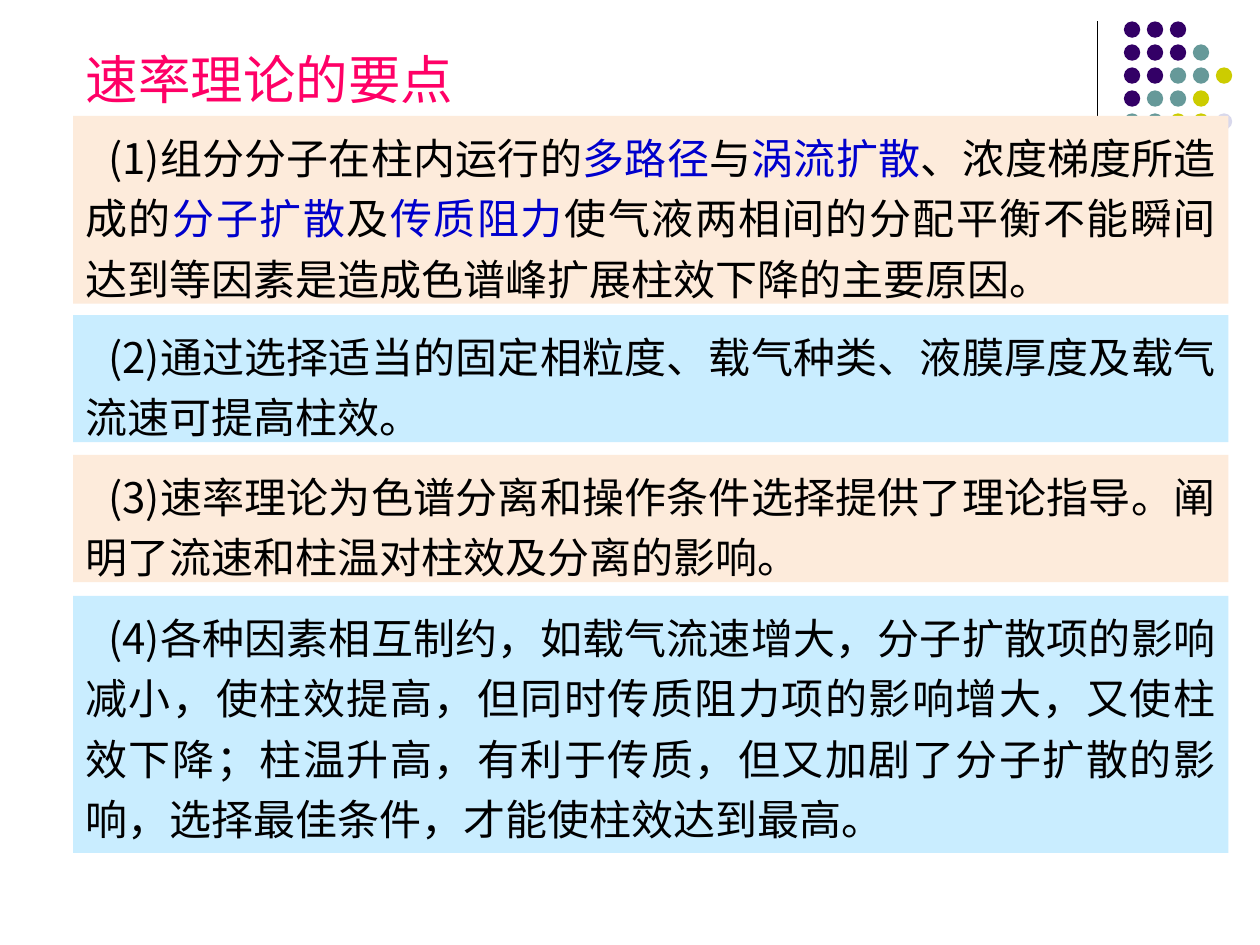
import pptx
import pptx.dml.color
import pptx.enum.shapes
import pptx.enum.text
import pptx.oxml
import pptx.oxml.ns
import pptx.util
from pptx.util import Inches

FONT = "Noto Sans CJK SC"
BLACK, BLUE, PINK = "000000", "0000CC", "FF0066"
PEACH, SKY = "FDEBDB", "C9EDFF"
PURPLE, TEAL, OLIVE, PALE = "330066", "669999", "CCCC00", "D8D8EC"

DOT_ROWS = [
    [PURPLE, PURPLE, PURPLE],
    [PURPLE, PURPLE, PURPLE, TEAL],
    [PURPLE, PURPLE, TEAL, TEAL, OLIVE],
    [PURPLE, TEAL, TEAL, OLIVE],
    [TEAL, TEAL, OLIVE, OLIVE, PALE],
]

PANELS = [
    (0.92, 1.49, PEACH, [
        ("(1)组分分子在柱内运行的", BLACK),
        ("多路径", BLUE),
        ("与", BLACK),
        ("涡流扩散", BLUE),
        ("、浓度梯度所造成的", BLACK),
        ("分子扩散", BLUE),
        ("及", BLACK),
        ("传质阻力", BLUE),
        ("使气液两相间的分配平衡不能瞬间达到等因素是造成色谱峰扩展柱效下降的主要原因。", BLACK),
    ]),
    (2.5, 1.01, SKY, [
        ("(2)通过选择适当的固定相粒度、载气种类、液膜厚度及载气流速可提高柱效。", BLACK),
    ]),
    (3.61, 1.01, PEACH, [
        ("(3)速率理论为色谱分离和操作条件选择提供了理论指导。阐明了流速和柱温对柱效及分离的影响。", BLACK),
    ]),
    (4.73, 2.04, SKY, [
        ("(4)各种因素相互制约，如载气流速增大，分子扩散项的影响减小，使柱效提高，"
         "但同时传质阻力项的影响增大，又使柱效下降；柱温升高，有利于传质，"
         "但又加剧了分子扩散的影响，选择最佳条件，才能使柱效达到最高。", BLACK),
    ]),
]


def color(value):
    return pptx.dml.color.RGBColor.from_string(value)


def add_run(paragraph, text, size, value):
    run = paragraph.add_run()
    run.text = text
    run.font.size = pptx.util.Pt(size)
    run.font.name = FONT
    run.font.color.rgb = color(value)
    properties = run.font._element
    east_asian = pptx.oxml.parse_xml(
        f'<a:ea {pptx.oxml.ns.nsdecls("a")} typeface="{FONT}"/>')
    properties.find(pptx.oxml.ns.qn("a:latin")).addnext(east_asian)


def add_filled_shape(shapes, kind, left, top, width, height, fill):
    shape = shapes.add_shape(
        kind, Inches(left), Inches(top), Inches(width), Inches(height))
    shape.shadow.inherit = False
    shape.fill.solid()
    shape.fill.fore_color.rgb = color(fill)
    shape.line.fill.background()
    return shape


def add_title(slide, left, top, width, height):
    title = slide.shapes.title
    title.left, title.top = Inches(left), Inches(top)
    title.width, title.height = Inches(width), Inches(height)
    frame = title.text_frame
    frame.auto_size = pptx.enum.text.MSO_AUTO_SIZE.NONE
    frame.vertical_anchor = pptx.enum.text.MSO_ANCHOR.MIDDLE
    paragraph = frame.paragraphs[0]
    paragraph.alignment = pptx.enum.text.PP_ALIGN.LEFT
    add_run(paragraph, "速率理论的要点", 30, PINK)


def add_divider(slide, left, top, height):
    divider = slide.shapes.add_connector(
        pptx.enum.shapes.MSO_CONNECTOR.STRAIGHT,
        Inches(left), Inches(top), Inches(left), Inches(top + height))
    divider.line.color.rgb = color(BLACK)
    divider.line.width = pptx.util.Pt(0.75)
    divider._element.spPr.append(
        pptx.oxml.parse_xml(f'<a:effectLst {pptx.oxml.ns.nsdecls("a")}/>'))


def add_dot_grid(slide, left, top, width):
    diameter = 0.13
    pitch = (width - diameter) / 4
    group = slide.shapes.add_group_shape()
    for row, fills in enumerate(DOT_ROWS):
        for column, fill in enumerate(fills):
            add_filled_shape(
                group.shapes, pptx.enum.shapes.MSO_SHAPE.OVAL,
                left + column * pitch, top + row * pitch,
                diameter, diameter, fill)


def add_panel(slide, left, top, width, height, fill, runs):
    panel = add_filled_shape(
        slide.shapes, pptx.enum.shapes.MSO_SHAPE.RECTANGLE,
        left, top, width, height, fill)
    frame = panel.text_frame
    frame.word_wrap = True
    frame.vertical_anchor = pptx.enum.text.MSO_ANCHOR.TOP
    paragraph = frame.paragraphs[0]
    paragraph.alignment = pptx.enum.text.PP_ALIGN.JUSTIFY
    paragraph.line_spacing = 1.2
    paragraph._p.get_or_add_pPr().set("indent", str(Inches(0.18)))
    for text, value in runs:
        add_run(paragraph, text, 24, value)


def main():
    presentation = pptx.Presentation()
    presentation.slide_width = Inches(10)
    presentation.slide_height = Inches(7.5)
    slide = presentation.slides.add_slide(presentation.slide_layouts[5])
    add_divider(slide, 8.71, 0.17, 1.66)
    add_dot_grid(slide, 8.92, 0.17, 0.86)
    add_title(slide, 0.58, 0.25, 8.5, 0.75)
    for top, height, fill, runs in PANELS:
        add_panel(slide, 0.58, top, 9.17, height, fill, runs)
    presentation.save("out.pptx")


if __name__ == "__main__":
    main()
